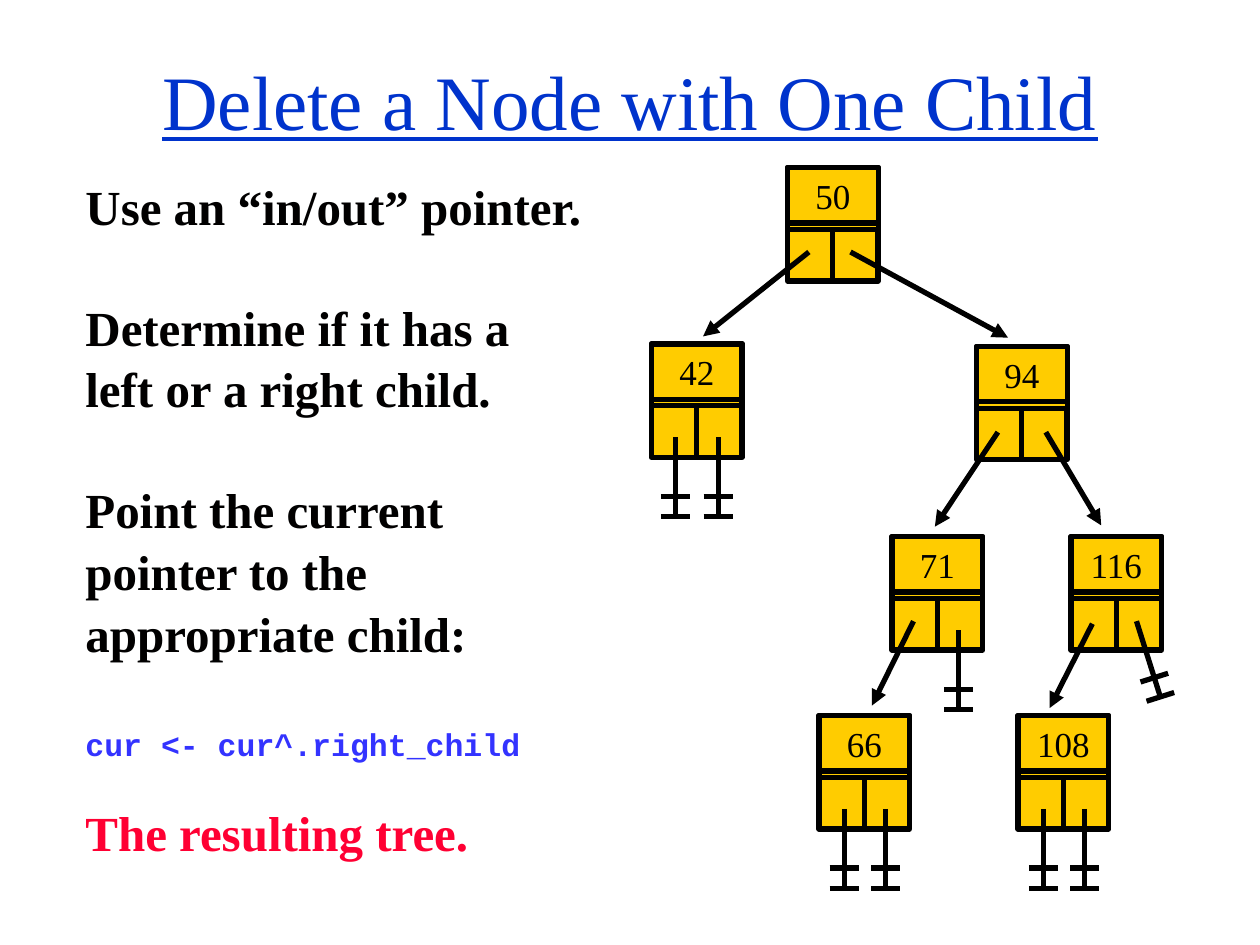
from dataclasses import dataclass
from math import cos, radians, sin

from lxml.etree import SubElement
from pptx import Presentation
from pptx.dml.color import RGBColor
from pptx.enum.shapes import MSO_CONNECTOR as Conn, MSO_SHAPE as Shape
from pptx.enum.text import MSO_ANCHOR as Anchor, PP_ALIGN as Align
from pptx.oxml.ns import qn
from pptx.util import Inches, Pt

SERIF, MONO = "Times New Roman", "Courier New"
BLACK, GOLD, WHITE = "000000", "FFCC00", "FFFFFF"
CELL_W, KEY_H, LINK_Y, LINK_H = 0.36, 0.44, 0.49, 0.41


@dataclass
class Node:
    key: str
    x: float
    y: float


@dataclass
class Arrow:
    x1: float
    y1: float
    x2: float
    y2: float


@dataclass
class Null:
    x: float
    y: float
    angle: float = 0


@dataclass
class Line:
    text: str
    color: str = "010000"
    size: float = 28
    font: str = SERIF
    before: float = 33.6


NODES = [
    Node("50", 6.25, 1.33), Node("94", 7.75, 2.75), Node("71", 7.08, 4.26),
    Node("116", 8.5, 4.26), Node("108", 8.08, 5.68), Node("66", 6.5, 5.68),
    Node("42", 5.17, 2.73),
]
ARROWS = [
    Arrow(6.42, 2, 5.58, 2.67), Arrow(6.75, 2, 8, 2.68),
    Arrow(7.92, 3.43, 7.42, 4.18), Arrow(8.3, 3.43, 8.74, 4.17),
    Arrow(7.25, 4.93, 6.92, 5.6), Arrow(8.67, 4.95, 8.33, 5.62),
]
NULLS = [
    Null(5.36, 3.47), Null(5.7, 3.47), Null(6.7, 6.42), Null(7.03, 6.42),
    Null(7.61, 5), Null(8.28, 6.42), Null(9.02, 4.93, 17.5), Null(8.61, 6.42),
]
LINES = [
    Line("Use an “in/out” pointer.", before=0),
    Line("Determine if it has a left or a right child."),
    Line("Point the current\npointer to the appropriate child:"),
    Line("cur <- cur^.right_child", "3333FF", 18, MONO, 35),
    Line("The resulting tree.", "FF0033", before=21),
]


def rgb(color: str) -> RGBColor:
    return RGBColor.from_string(color)


def add_run(p, text: str, size: float, color: str, font: str = SERIF, bold: bool = False):
    r = p.add_run()
    r.text = text
    r.font.size, r.font.name, r.font.bold = Pt(size), font, bold
    r.font.color.rgb = rgb(color)
    return r


def add_box(shapes, x: float, y: float, w: float, h: float):
    sp = shapes.add_shape(Shape.RECTANGLE, Inches(x), Inches(y), Inches(w), Inches(h))
    sp.shadow.inherit = False
    sp.fill.solid()
    sp.fill.fore_color.rgb = rgb(GOLD)
    sp.line.color.rgb = rgb(BLACK)
    sp.line.width = Pt(3)
    return sp


def add_line(shapes, x1: float, y1: float, x2: float, y2: float, arrow: bool = False) -> None:
    line = shapes.add_connector(Conn.STRAIGHT, Inches(x1), Inches(y1), Inches(x2), Inches(y2))
    line.line.color.rgb = rgb(BLACK)
    line.line.width = Pt(3)
    props = line._element.spPr
    if arrow:
        SubElement(props.find(qn("a:ln")), qn("a:tailEnd"), type="triangle")
    SubElement(props, qn("a:effectLst"))


def add_node(s, node: Node) -> None:
    shapes = s.shapes.add_group_shape().shapes
    add_box(shapes, node.x, node.y, 2 * CELL_W, LINK_Y)
    for i in range(2):
        add_box(shapes, node.x + i * CELL_W, node.y + LINK_Y, CELL_W, LINK_H)
    tf = add_box(shapes, node.x, node.y, 2 * CELL_W, KEY_H).text_frame
    tf.vertical_anchor = Anchor.MIDDLE
    p = tf.paragraphs[0]
    p.alignment = Align.CENTER
    add_run(p, node.key, 20, BLACK)


def add_null(s, null: Null) -> None:
    shapes = s.shapes.add_group_shape().shapes
    dx, dy = sin(radians(null.angle)), cos(radians(null.angle))
    stem, half_bar = 0.63, 0.115
    add_line(shapes, null.x, null.y, null.x + stem * dx, null.y + stem * dy)
    for distance in (0.47, stem):
        x, y = null.x + distance * dx, null.y + distance * dy
        add_line(shapes, x - half_bar * dy, y + half_bar * dx,
                 x + half_bar * dy, y - half_bar * dx)


def add_title(s, text: str) -> None:
    sp = s.shapes.title
    sp.left, sp.top, sp.width, sp.height = (Inches(v) for v in (0.75, 0.42, 8.5, 0.75))
    sp.text_frame.vertical_anchor = Anchor.MIDDLE
    p = sp.text_frame.paragraphs[0]
    p.alignment = Align.CENTER
    add_run(p, text, 44, "0033CC").font.underline = True


def add_steps(s, lines: list[Line]) -> None:
    sp = s.shapes.add_textbox(Inches(0.58), Inches(1.33), Inches(4.17), Inches(5.67))
    sp.fill.solid()
    sp.fill.fore_color.rgb = rgb(WHITE)
    tf = sp.text_frame
    tf.word_wrap = True
    for i, line in enumerate(lines):
        p = tf.add_paragraph() if i else tf.paragraphs[0]
        p.line_spacing = 1.05
        p.space_before = Pt(line.before)
        for j, part in enumerate(line.text.split("\n")):
            if j:
                p.add_line_break()
            add_run(p, part, line.size, line.color, line.font, bold=True)


def main() -> None:
    prs = Presentation()
    prs.slide_width, prs.slide_height = Inches(10), Inches(7.5)
    s = prs.slides.add_slide(prs.slide_layouts[5])
    add_title(s, "Delete a Node with One Child")
    add_steps(s, LINES)
    for node in NODES:
        add_node(s, node)
    for a in ARROWS:
        add_line(s.shapes, a.x1, a.y1, a.x2, a.y2, arrow=True)
    for null in NULLS:
        add_null(s, null)
    prs.save("out.pptx")


if __name__ == "__main__":
    main()
